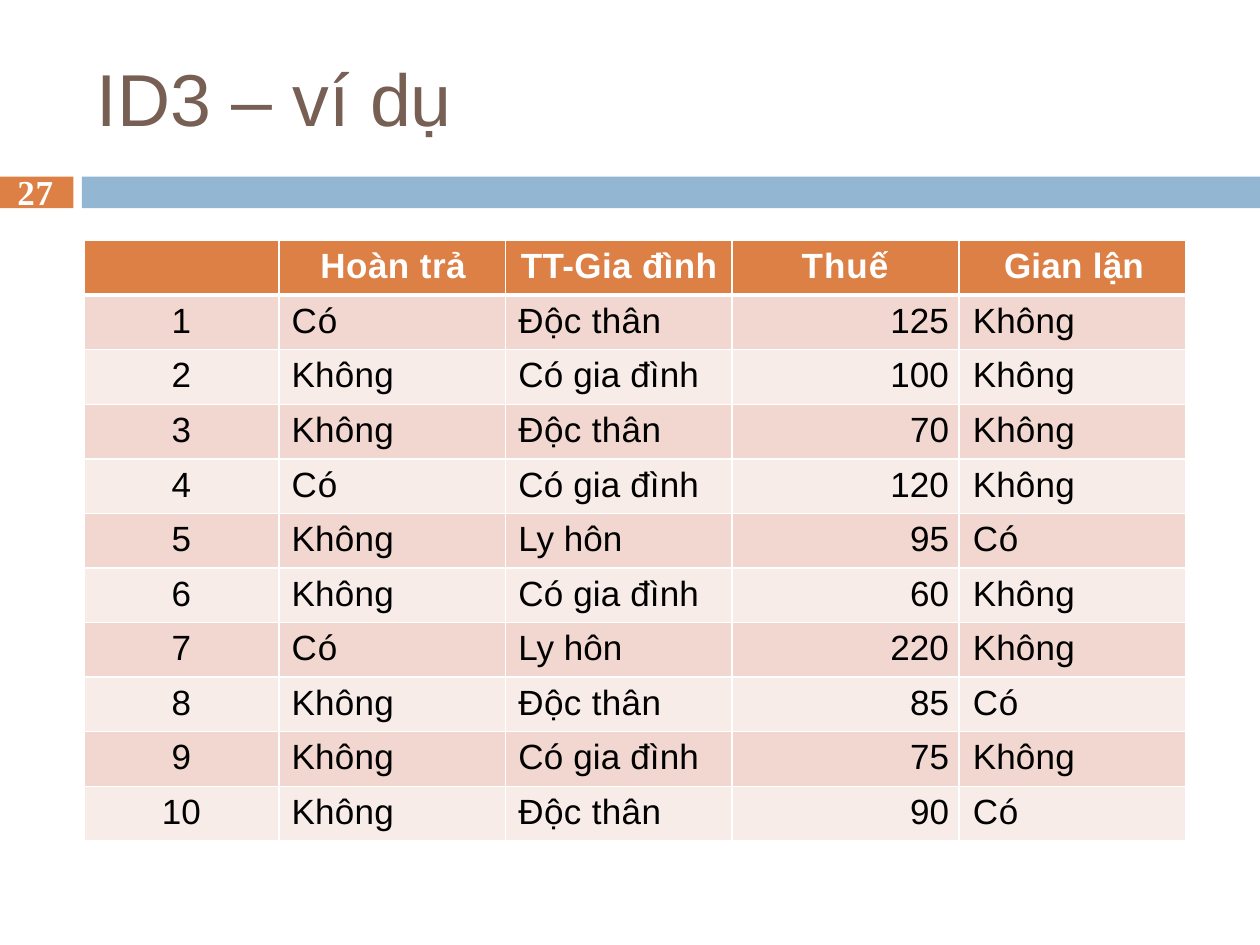
from dataclasses import dataclass

from lxml.etree import SubElement
from pptx import Presentation
from pptx.dml.color import RGBColor
from pptx.enum.shapes import MSO_SHAPE
from pptx.enum.text import PP_ALIGN
from pptx.oxml import parse_xml
from pptx.oxml.ns import nsdecls, qn
from pptx.util import Cm, Pt


@dataclass(frozen=True)
class Theme:
    sans: str = "Arial"
    serif: str = "Times New Roman"
    brown: str = "775F54"
    orange: str = "DD8046"
    blue: str = "93B6D2"
    odd: str = "F1D7CF"
    even: str = "F8ECE9"
    white: str = "FFFFFF"
    black: str = "000000"
    title: int = 42
    body: int = 20


THEME = Theme()
LEFT, MID, RIGHT = PP_ALIGN.LEFT, PP_ALIGN.CENTER, PP_ALIGN.RIGHT

HEADS = ["", "Hoàn trả", "TT-Gia đình", "Thuế", "Gian lận"]
ROWS = [
    ("Có", "Độc thân", 125, "Không"),
    ("Không", "Có gia đình", 100, "Không"),
    ("Không", "Độc thân", 70, "Không"),
    ("Có", "Có gia đình", 120, "Không"),
    ("Không", "Ly hôn", 95, "Có"),
    ("Không", "Có gia đình", 60, "Không"),
    ("Có", "Ly hôn", 220, "Không"),
    ("Không", "Độc thân", 85, "Có"),
    ("Không", "Có gia đình", 75, "Không"),
    ("Không", "Độc thân", 90, "Có"),
]
WIDTHS = [3.93, 4.57, 4.57, 4.57, 4.57]
ROW_H = 1.1
HEAD_PADS = [0, 0.84, 0.31, 1.4, 0.91]
PADS = [0, 0.26, 0.26, 0, 0.28]
ALIGNS = [MID, LEFT, LEFT, RIGHT, LEFT]

# Letter spacing in hundredths of a point
TRACK = {"Hoàn trả": 25, "TT-Gia đình": 20, "Thuế": 60, "Gian lận": 15,
         "Có": 50, "Độc thân": 20, "Không": 10, "Có gia đình": 8}


def write(frame, text, size, color, font=THEME.sans, bold=False,
          align=LEFT, before=0.0, track=0):
    para = frame.paragraphs[0]
    para.alignment = align
    para.space_before = Pt(before)
    style = para.font
    style.name, style.size, style.bold = font, Pt(size), bold
    style.color.rgb = RGBColor.from_string(color)
    run = para.add_run()
    run.text = text
    if track:
        run._r.get_or_add_rPr().set("spc", str(track))


def add_bar(slide, left, width, color):
    bar = slide.shapes.add_shape(MSO_SHAPE.RECTANGLE, Cm(left), Cm(3.56),
                                 Cm(width), Cm(0.64))
    bar.shadow.inherit = False
    bar.fill.solid()
    bar.fill.fore_color.rgb = RGBColor.from_string(color)
    bar.line.fill.background()


def add_label(slide, text, box, top, size, color, **style):
    label = slide.shapes.add_textbox(*map(Cm, box))
    frame = label.text_frame
    frame.word_wrap = True
    frame.margin_left = frame.margin_right = frame.margin_bottom = 0
    frame.margin_top = Cm(top)
    write(frame, text, size, color, **style)


def set_edges(cell, top, base):
    props = cell._tc.get_or_add_tcPr()
    edges = [("lnL", 1), ("lnR", 1), ("lnT", top), ("lnB", base)]
    for pos, (tag, width) in enumerate(edges):
        line = parse_xml(f'<a:{tag} {nsdecls("a")} w="{Pt(width)}"/>')
        fill = SubElement(line, qn("a:solidFill"))
        SubElement(fill, qn("a:srgbClr"), val=THEME.white)
        props.insert(pos, line)


def fill_cell(cell, text, row, col):
    head = row == 0
    cell.fill.solid()
    shade = THEME.orange if head else THEME.odd if row % 2 else THEME.even
    cell.fill.fore_color.rgb = RGBColor.from_string(shade)
    set_edges(cell, 3 if row == 1 else 1, 3 if head else 1)
    cell.margin_left = Cm((HEAD_PADS if head else PADS)[col])
    cell.margin_right = Cm(0.2 if ALIGNS[col] == RIGHT and not head else 0)
    cell.margin_top, cell.margin_bottom = Cm(0.13), 0
    if text:
        write(cell.text_frame, text, THEME.body,
              THEME.white if head else THEME.black, bold=head,
              align=LEFT if head else ALIGNS[col], before=3.5,
              track=TRACK.get(text, 0))


def add_grid(slide):
    data = [HEADS] + [(num, *row) for num, row in enumerate(ROWS, 1)]
    table = slide.shapes.add_table(
        len(data), len(HEADS), Cm(1.69), Cm(4.85),
        Cm(sum(WIDTHS)), Cm(ROW_H * len(data))).table
    for col, width in zip(table.columns, WIDTHS):
        col.width = Cm(width)
    for r, row in enumerate(data):
        table.rows[r].height = Cm(ROW_H)
        for c, value in enumerate(row):
            fill_cell(table.cell(r, c), str(value), r, c)


def main():
    deck = Presentation()
    deck.slide_width, deck.slide_height = Cm(25.4), Cm(19.05)
    slide = deck.slides.add_slide(deck.slide_layouts[6])

    # Band below the title
    add_bar(slide, 0, 1.48, THEME.orange)
    add_bar(slide, 1.65, 23.75, THEME.blue)

    # Title, table and page number
    add_label(slide, "ID3 – ví dụ", (1.95, 1.04, 7.24, 1.85), 0.03,
              THEME.title, THEME.brown, before=1.1)
    add_grid(slide)
    add_label(slide, "27", (0.35, 3.4, 0.9, 0.94), 0.04, THEME.body,
              THEME.white, font=THEME.serif, bold=True, before=1.2, track=50)

    deck.save("out.pptx")


if __name__ == "__main__":
    main()
